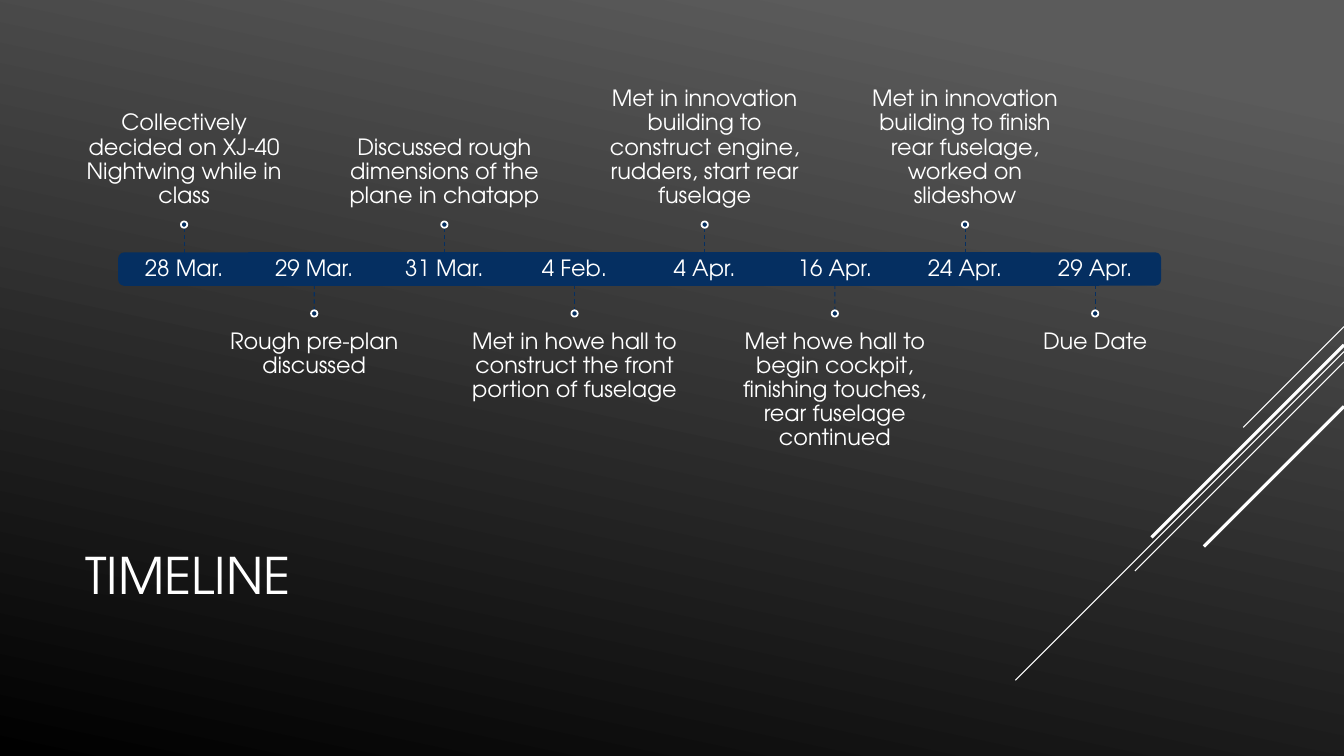
from dataclasses import dataclass

from lxml.etree import SubElement
from pptx import Presentation
from pptx.dml.color import RGBColor as Color
from pptx.enum.dml import MSO_LINE as Dash
from pptx.enum.shapes import MSO_CONNECTOR as Link, MSO_SHAPE as Kind
from pptx.enum.text import MSO_ANCHOR as Anchor, PP_ALIGN as Align
from pptx.oxml.ns import qn
from pptx.util import Cm, Pt


@dataclass(frozen=True)
class Theme:
    font: str = "TeX Gyre Adventor"
    white: str = "FFFFFF"
    navy: str = "052F61"
    light: str = "5B5B5B"
    dark: str = "000000"
    title: int = 36
    body: int = 16
    hair: float = 0.75
    edge: float = 1.25
    thick: float = 2.25


class Board:
    """Draws on one slide; all lengths are in centimetres."""

    def __init__(self, slide, theme):
        self.slide, self.theme = slide, theme

    def ground(self, angle):
        fill = self.slide.background.fill
        fill.gradient()
        fill.gradient_angle = angle
        ends = ((0.1, self.theme.light), (1, self.theme.dark))
        for stop, (place, tint) in zip(fill.gradient_stops, ends):
            stop.position = place
            stop.color.rgb = Color.from_string(tint)

    def text(self, words, box, size, pads, anchor, align=Align.CENTER):
        frame = self.slide.shapes.add_textbox(*map(Cm, box)).text_frame
        frame.word_wrap = True
        frame.vertical_anchor = anchor
        (frame.margin_left, frame.margin_top,
         frame.margin_right, frame.margin_bottom) = map(Cm, pads)
        para = frame.paragraphs[0]
        para.alignment = align
        para.line_spacing = 0.9
        run = para.add_run()
        run.text = words
        run.font.name = self.theme.font
        run.font.size = Pt(size)
        run.font.color.rgb = Color.from_string(self.theme.white)

    def shape(self, kind, box, edge, turn=0):
        item = self.slide.shapes.add_shape(kind, *map(Cm, box))
        item.shadow.inherit = False
        item.rotation = turn
        item.fill.solid()
        item.fill.fore_color.rgb = Color.from_string(self.theme.navy)
        item.line.color.rgb = Color.from_string(edge)
        item.line.width = Pt(self.theme.edge)
        return item

    def line(self, ends, tint, width, dash=None):
        item = self.slide.shapes.add_connector(Link.STRAIGHT, *map(Cm, ends))
        item.line.color.rgb = Color.from_string(tint)
        item.line.width = Pt(width)
        if dash:
            item.line.dash_style = dash
        SubElement(item._element.spPr, qn("a:effectLst"))
        return item


WIDE, HIGH = 33.87, 19.05
LEFT, TOP = 3, 6.38          # start of the date bar
STEP, DEEP = 3.28, 0.8       # one date cell
STEM, DOT = 0.64, 0.16
NOTE_W, NOTE_H = 5.46, 2.79
PAD = 0.33

EVENTS = (
    ("28 Mar.", "Collectively decided on XJ-40 Nightwing while in class"),
    ("29 Mar.", "Rough pre-plan discussed"),
    ("31 Mar.", "Discussed rough dimensions of the plane in chatapp"),
    ("4 Feb.", "Met in howe hall to construct the front portion of fuselage"),
    ("4 Apr.", "Met in innovation building to construct engine, rudders, "
               "start rear fuselage"),
    ("16 Apr.", "Met howe hall to begin cockpit, finishing touches, "
                "rear fuselage continued"),
    ("24 Apr.", "Met in innovation building to finish rear fuselage, "
                "worked on slideshow"),
    ("29 Apr.", "Due Date"),
)


def add_event(board, num, date, note):
    theme = board.theme
    left = LEFT + num * STEP
    mid = left + STEP / 2
    above = num % 2 == 0

    # Date cell: the two end cells are turned to round the outer corners
    turn = {0: 270, len(EVENTS) - 1: 90}.get(num)
    cell = (left, TOP, STEP, DEEP)
    if turn is None:
        bar = board.shape(Kind.RECTANGLE, cell, theme.navy)
    else:
        box = (mid - DEEP / 2, TOP + DEEP / 2 - STEP / 2, DEEP, STEP)
        bar = board.shape(Kind.ROUND_2_SAME_RECTANGLE, box, theme.navy, turn)
    board.text(date, cell, theme.body, (PAD,) * 4, Anchor.MIDDLE)

    # Note, above or below the bar
    if above:
        root, tip = TOP, TOP - STEM
        dot_y = tip - DOT
        note_y, pads, anchor = dot_y - NOTE_H, (0, 0, 0, PAD), Anchor.BOTTOM
    else:
        root, tip = TOP + DEEP, TOP + DEEP + STEM
        dot_y = tip
        note_y, pads, anchor = dot_y + DOT, (0, PAD, 0, 0), Anchor.TOP
    board.text(note, (mid - NOTE_W / 2, note_y, NOTE_W, NOTE_H),
               theme.body, pads, anchor)

    # Stem and dot
    stem = board.line((mid, root, mid, tip), theme.navy, theme.hair, Dash.DASH)
    if turn is None:
        stem.begin_connect(bar, 0 if above else 2)
    board.shape(Kind.OVAL, (mid - DOT / 2, dot_y, DOT, DOT), theme.white)


def main():
    deck = Presentation()
    deck.slide_width, deck.slide_height = Cm(WIDE), Cm(HIGH)
    theme = Theme()
    board = Board(deck.slides.add_slide(deck.slide_layouts[6]), theme)
    board.ground(258)

    # Slanted lines at 45 degrees from the right edge: start height, run, width
    for y, run, width in ((8.23, 2.54, theme.hair), (8.86, 8.28, theme.hair),
                          (9.12, 5.27, theme.hair), (8.69, 4.85, theme.thick),
                          (10.24, 3.53, theme.thick)):
        board.line((WIDE, y, WIDE - run, y + run), theme.white, width)

    # Title
    board.text("TIMELINE", (1.9, 12.47, 23.7, 4.19), theme.title,
               (0.25, 0.13, 0.25, 0.13), Anchor.MIDDLE, Align.LEFT)

    # Timeline
    for num, (date, note) in enumerate(EVENTS):
        add_event(board, num, date, note)

    deck.save("out.pptx")


if __name__ == "__main__":
    main()
